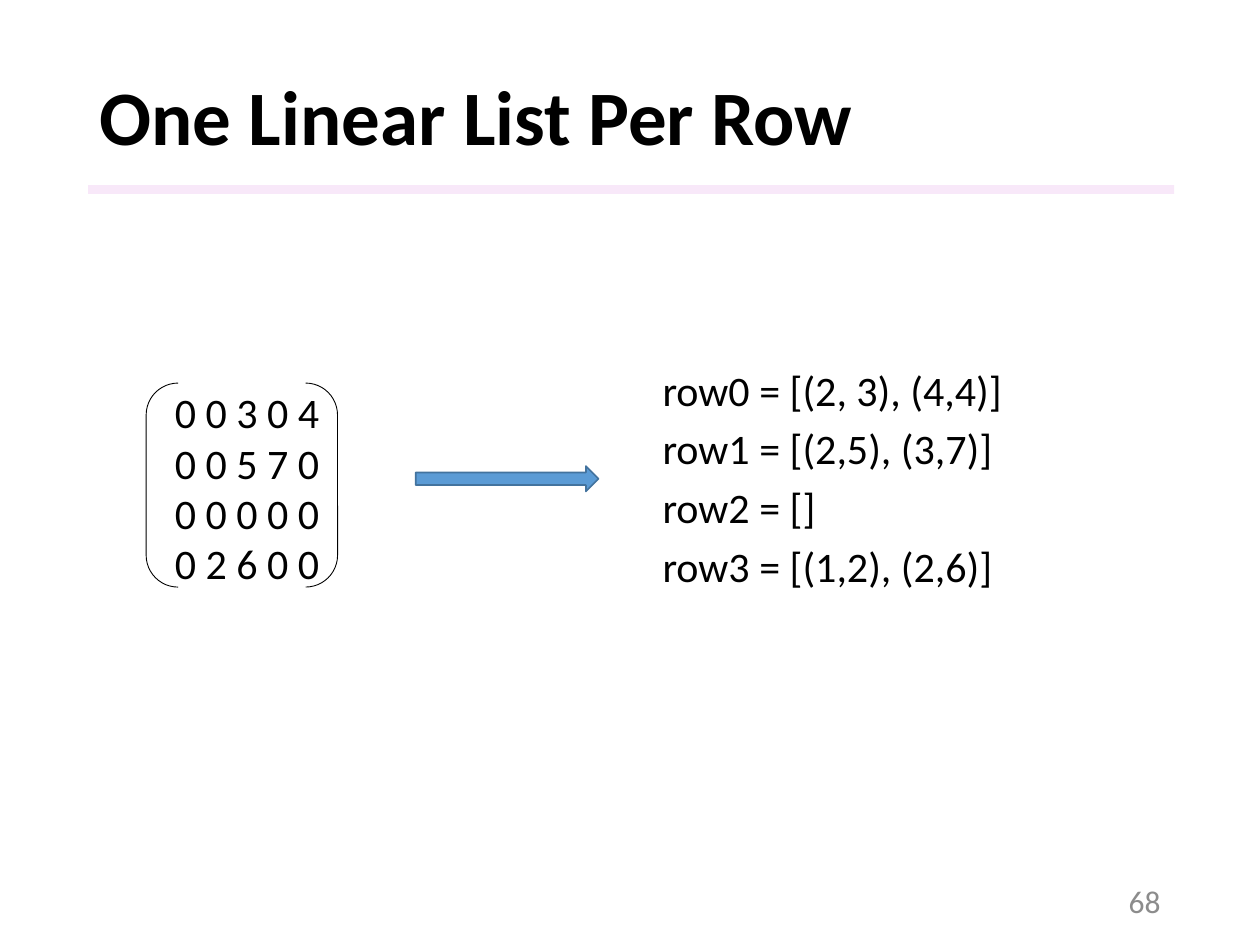
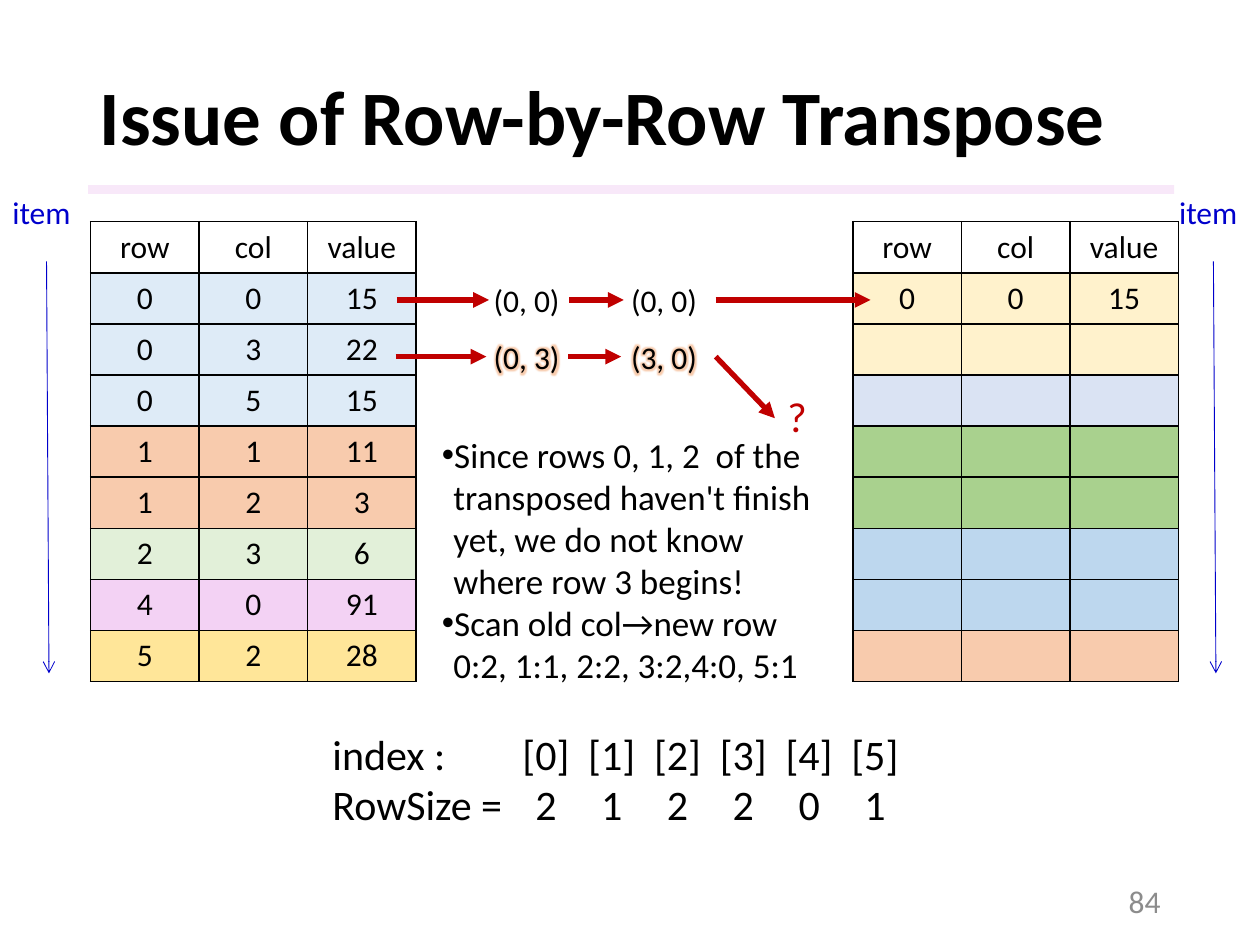
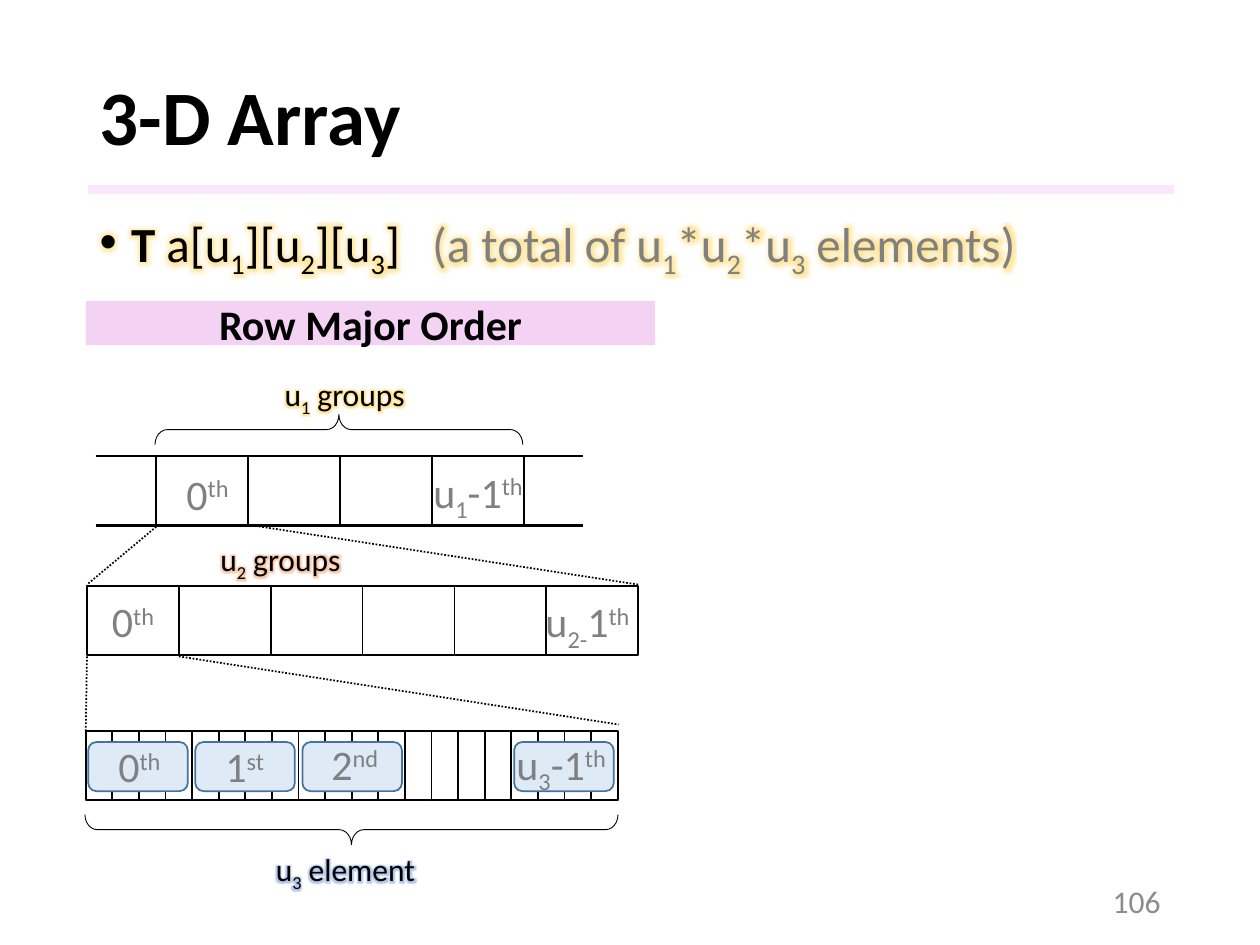
from lxml import etree
from pptx import Presentation
from pptx.dml.color import RGBColor
from pptx.enum.dml import MSO_LINE
from pptx.enum.shapes import MSO_CONNECTOR, MSO_SHAPE as SHAPE
from pptx.enum.text import MSO_ANCHOR as ANCHOR, MSO_AUTO_SIZE, PP_ALIGN as ALIGN
from pptx.oxml.ns import qn
from pptx.util import Pt

FONT = "Calibri"
BLACK, WHITE, GRAY, PAGE_GRAY = "000000", "FFFFFF", "808080", "8C8C8C"
PINK, RED, BLUE, STEEL, STEEL_EDGE = "F3D2F4", "C00000", "0000CC", "5B9BD5", "43739E"
PALE_BLUE, PEACH = "DEEBF7", "F8CBAD"
GLOW_GOLD, GLOW_ORANGE, GLOW_BLUE = "FFC000", "ED7D31", "4472C4"


def rgb(code):
    return RGBColor.from_string(code)


def child(parent, tag, **attrs):
    el = etree.SubElement(parent, qn(tag))
    for name, value in attrs.items():
        el.set(name, str(value))
    return el


def alpha(clr, percent):
    child(clr, "a:alpha", val=percent * 1000)


def sub(text):
    return text, {"base": -25}


def sup(text):
    return text, {"base": 30}


def style_run(r, size=18, color=BLACK, bold=False, base=0, spacing=0, glow=None):
    f = r.font
    f.name, f.size, f.bold = FONT, Pt(size), bold
    f.color.rgb = rgb(color)
    rPr = r._r.get_or_add_rPr()
    if base:
        rPr.set("baseline", str(base * 1000))
    if spacing:
        rPr.set("spc", str(spacing * 100))
    if glow:
        effects = etree.Element(qn("a:effectLst"))
        halo = child(effects, "a:glow", rad=Pt(6))
        alpha(child(halo, "a:srgbClr", val=glow), 40)
        rPr.find(qn("a:solidFill")).addnext(effects)


def write(tf, paragraphs, align=ALIGN.LEFT, anchor=ANCHOR.TOP, indent=0, bullet=None,
          before=0, leading=None, tabs=(), **run_format):
    """Fill a text frame; a paragraph is a string or a list of strings and (text, format)."""
    tf.word_wrap, tf.auto_size, tf.vertical_anchor = True, MSO_AUTO_SIZE.NONE, anchor
    for i, pieces in enumerate(paragraphs):
        p = tf.paragraphs[0] if i == 0 else tf.add_paragraph()
        pPr = p._p.get_or_add_pPr()
        if indent:
            pPr.set("marL", str(Pt(indent)))
            pPr.set("indent", str(-Pt(indent)))
        if bullet:
            child(pPr, "a:buFont", typeface="Arial")
            child(pPr, "a:buChar", char=bullet)
        if tabs:
            tab_list = child(pPr, "a:tabLst")
            for pos in tabs:
                child(tab_list, "a:tab", pos=Pt(pos), algn="ctr")
        p.alignment = align
        p.space_before = Pt(before if i else 0)
        if leading:
            p.line_spacing = leading
        for piece in [pieces] if isinstance(pieces, str) else pieces:
            text, extra = (piece, {}) if isinstance(piece, str) else piece
            r = p.add_run()
            r.text = text
            style_run(r, **{**run_format, **extra})


class Deck:
    def __init__(self):
        self.prs = Presentation()
        self.prs.slide_width, self.prs.slide_height = Pt(720), Pt(540)
        self.s = None

    def slide(self, title, number, layout=5):
        self.s = self.prs.slides.add_slide(self.prs.slide_layouts[layout])
        self.shape(SHAPE.RECTANGLE, 50.4, 105.8, 620.6, 5, fill=PINK, opacity=50)
        self.place(self.s.shapes.title, 49.7, 28.8, 620.6, 80)
        write(self.s.shapes.title.text_frame, [title], anchor=ANCHOR.MIDDLE,
              leading=0.9, size=44, bold=True)
        self.text(508.3, 500.4, 162, 28.8, [number], align=ALIGN.RIGHT,
                  anchor=ANCHOR.MIDDLE, color=PAGE_GRAY)

    def place(self, sp, x, y, w, h):
        sp.left, sp.top, sp.width, sp.height = Pt(x), Pt(y), Pt(w), Pt(h)

    def body(self, x, y, w, h, paragraphs, **fmt):
        sp = self.s.placeholders[1]
        self.place(sp, x, y, w, h)
        write(sp.text_frame, paragraphs, **fmt)

    def text(self, x, y, w, h, paragraphs, **fmt):
        sp = self.s.shapes.add_textbox(Pt(x), Pt(y), Pt(w), Pt(h))
        write(sp.text_frame, paragraphs, **fmt)

    def shape(self, kind, x, y, w, h, fill=None, line=None, weight=1, opacity=None,
              rotation=0, adjust=()):
        sp = self.s.shapes.add_shape(kind, Pt(x), Pt(y), Pt(w), Pt(h))
        sp.shadow.inherit = False
        sp.rotation = rotation
        for i, value in enumerate(adjust):
            sp.adjustments[i] = value
        if fill:
            sp.fill.solid()
            sp.fill.fore_color.rgb = rgb(fill)
            if opacity:
                alpha(sp._element.spPr.find(qn("a:solidFill"))[0], opacity)
        else:
            sp.fill.background()
        if line:
            sp.line.color.rgb = rgb(line)
            sp.line.width = Pt(weight)
        else:
            sp.line.fill.background()
        return sp

    def brace(self, x, y, w, h, rotation):
        self.shape(SHAPE.LEFT_BRACE, x, y, w, h, line=BLACK, weight=0.5,
                   rotation=rotation, adjust=(0.405, 0.5))

    def cells(self, x, y, w, h, count):
        for i in range(count):
            self.shape(SHAPE.RECTANGLE, x + i * w, y, w, h, fill=WHITE, line=BLACK)

    def line(self, x1, y1, x2, y2, color=BLACK, weight=1.0, dash=None, head=None):
        c = self.s.shapes.add_connector(MSO_CONNECTOR.STRAIGHT, Pt(x1), Pt(y1), Pt(x2), Pt(y2))
        c.line.color.rgb = rgb(color)
        c.line.width = Pt(weight)
        if dash:
            c.line.dash_style = dash
        if head:
            child(c.line._get_or_add_ln(), "a:tailEnd", type=head)
        child(c._element.spPr, "a:effectLst")

    def table(self, x, y, col_w, row_h, rows, fills):
        n_rows, n_cols = len(rows), len(rows[0])
        frame = self.s.shapes.add_table(n_rows, n_cols, Pt(x), Pt(y),
                                        Pt(col_w * n_cols), Pt(row_h * n_rows))
        tbl = frame.table
        tbl.first_row = tbl.horz_banding = False
        for col in tbl.columns:
            col.width = Pt(col_w)
        for row, values, fill in zip(tbl.rows, rows, fills):
            row.height = Pt(row_h)
            for cell, value in zip(row.cells, values):
                self.cell(cell, value, fill)

    def cell(self, cell, value, fill):
        cell.vertical_anchor = ANCHOR.MIDDLE
        if value:
            p = cell.text_frame.paragraphs[0]
            p.alignment = ALIGN.CENTER
            r = p.add_run()
            r.text = value
            style_run(r)
        if fill:
            cell.fill.solid()
            cell.fill.fore_color.rgb = rgb(fill)
        else:
            cell.fill.background()
        tcPr = cell._tc.get_or_add_tcPr()
        for i, side in enumerate(("a:lnL", "a:lnR", "a:lnT", "a:lnB")):
            ln = child(tcPr, side, w=Pt(1))
            child(child(ln, "a:solidFill"), "a:srgbClr", val=BLACK)
            tcPr.insert(i, ln)


def linear_lists(d):
    d.slide("One Linear List Per Row", "68")
    # Sparse matrix in brackets
    d.text(92.9, 217.4, 162.7, 152.6,
           ["0 0 3 0 4", "0 0 5 7 0", "0 0 0 0 0", "0 2 6 0 0"], indent=27, size=24)
    d.shape(SHAPE.DOUBLE_BRACKET, 83.5, 218.9, 109.4, 116.6, line=BLACK, weight=0.5)
    # One list per row
    d.text(371.5, 204.5, 212, 141,
           ["row0 = [(2, 3), (4,4)]", "row1 = [(2,5), (3,7)]", "row2 = []",
            "row3 = [(1,2), (2,6)]"], indent=27, before=4.8, size=24)
    d.shape(SHAPE.RIGHT_ARROW, 237.6, 266.4, 104.4, 14.4, fill=STEEL, line=STEEL_EDGE)


def row_transpose(d):
    d.slide("Issue of Row-by-Row Transpose", "84")
    # Old and new term tables
    header = ("row", "col", "value")
    terms = [("0", "0", "15"), ("0", "3", "22"), ("0", "5", "15"), ("1", "1", "11"),
             ("1", "2", "3"), ("2", "3", "6"), ("4", "0", "91"), ("5", "2", "28")]
    old_fills = [None] + [PALE_BLUE] * 3 + [PEACH] * 2 + ["E2F0D9", PINK, "FFE699"]
    new_fills = ([None] + ["FFF2CC"] * 2 + ["DAE3F3"] + ["A9D18E"] * 2
                 + ["BDD7EE"] * 2 + [PEACH])
    d.table(51.8, 126.7, 62, 29.2, [header] + terms, old_fills)
    d.table(487.4, 126.7, 62, 29.2, [header, terms[0]] + [("", "", "")] * 7, new_fills)
    # Moves from old to new position
    for y, pairs, glow, ends in (
            (171.4, ("(0, 0)", "(0, 0)"), None,
             ((226.8, 279.4), (325.4, 356.4), (409, 497.5))),
            (203.8, ("(0, 3)", "(3, 0)"), GLOW_ORANGE, ((226.1, 277.9), (324.7, 355)))):
        for x, pair in zip((275, 353.5), pairs):
            d.text(x, y - 14.4, 61.2, 28.8, [pair], glow=glow)
        for x1, x2 in ends:
            d.line(x1, y, x2, y, color=RED, weight=3, head="triangle")
    d.line(409, 203.8, 442.8, 239, color=RED, weight=3, head="triangle")
    d.text(442.8, 219.6, 26, 36, ["?"], size=24, color=RED)
    # Explanation
    d.text(245.5, 244.1, 230.4, 152.6,
           ["Since rows 0, 1, 2  of the transposed haven't finish yet, "
            "we do not know where row 3 begins!",
            "Scan old col→new row 0:2, 1:1, 2:2, 3:2,4:0, 5:1"],
           indent=6.5, bullet="•", size=20)
    # Item direction on both sides
    for arrow_x, label_x in ((26.6, 0), (693.4, 666.7)):
        d.line(arrow_x, 149.4, arrow_x + 1.4, 384.8, color=BLUE, weight=0.5, head="arrow")
        d.text(label_x, 106.9, 48.2, 28.8, ["item"], color=BLUE)
    # Row sizes by index
    sizes = "212201"
    d.text(182.9, 412.6, 357, 65.5,
           ["\t".join(["index :"] + [f"[{i}]" for i in range(len(sizes))]),
            "\t".join(["RowSize =", *sizes])],
           size=24, tabs=[122 + 37.6 * i for i in range(len(sizes))])


def array_3d(d):
    d.slide("3-D Array", "106", layout=1)
    gray, low = {"color": GRAY}, {"color": GRAY, "base": -25}
    d.body(49.7, 119, 620.6, 367,
           [[("T", {"bold": True}), " a[u", sub("1"), "][u", sub("2"), "][u", sub("3"), "]",
             (" ", {"spacing": 12}), ("(a total of u", gray), ("1", low), ("*u", gray),
             ("2", low), ("*u", gray), ("3", low), (" elements)", gray)]],
           indent=18, bullet="•", leading=0.9, size=28, glow=GLOW_GOLD)
    banner = d.shape(SHAPE.RECTANGLE, 49, 172.1, 325.4, 25.2, fill=PINK)
    write(banner.text_frame, ["Row Major Order"], align=ALIGN.CENTER,
          anchor=ANCHOR.MIDDLE, size=24, bold=True)
    # Three levels of cells
    d.cells(89.3, 260.6, 52.5, 39.6, 4)
    d.cells(49.7, 334.8, 52.5, 39.6, 6)
    d.cells(49, 417.6, 15.2, 39.6, 20)
    for y in (260.6, 300.2):
        d.line(54.7, y, 333.4, y, weight=1.5)
    for x in (50.4, 111.6, 172.8, 293.8):
        d.shape(SHAPE.ROUNDED_RECTANGLE, x, 424, 56.9, 28.1, fill=PALE_BLUE, line=STEEL_EDGE)
    # Dotted zoom lines
    for ends in ((89.3, 301, 49.7, 334.1), (144, 300.2, 365, 334.1),
                 (49.7, 375.1, 49, 419), (102.2, 375.1, 353.5, 414)):
        d.line(*ends, dash=MSO_LINE.ROUND_DOT)
    # Braces and group names
    d.brace(185, 140.4, 17.3, 210.2, 90)
    d.brace(192.2, 321.8, 17.3, 304.6, 270)
    for x, y, index, noun, glow in ((155.5, 211, "1", " groups", GLOW_GOLD),
                                    (118.8, 305.3, "2", " groups", GLOW_ORANGE),
                                    (150.5, 482.4, "3", " element", GLOW_BLUE)):
        d.text(x, y, 98, 28.8, [["u", sub(index), noun]], glow=glow)
    # Ordinals in the cells
    for x, y, pieces in ((99.4, 264.2, ["0", sup("th")]),
                         (56.9, 337, ["0", sup("th")]),
                         (60.5, 419.8, ["0", sup("th")]),
                         (121.7, 419.8, ["1", sup("st")]),
                         (182.2, 418.3, ["2", sup("nd")]),
                         (240.5, 262.8, ["u", sub("1"), "-1", sup("th")]),
                         (304.6, 337, ["u", sub("2-"), "1", sup("th")]),
                         (288, 418.3, ["u", sub("3"), "-1", sup("th")])):
        d.text(x, y, 70, 36, [pieces], size=24, color=GRAY)


def main():
    d = Deck()
    linear_lists(d)
    row_transpose(d)
    array_3d(d)
    d.prs.save("out.pptx")


if __name__ == "__main__":
    main()
